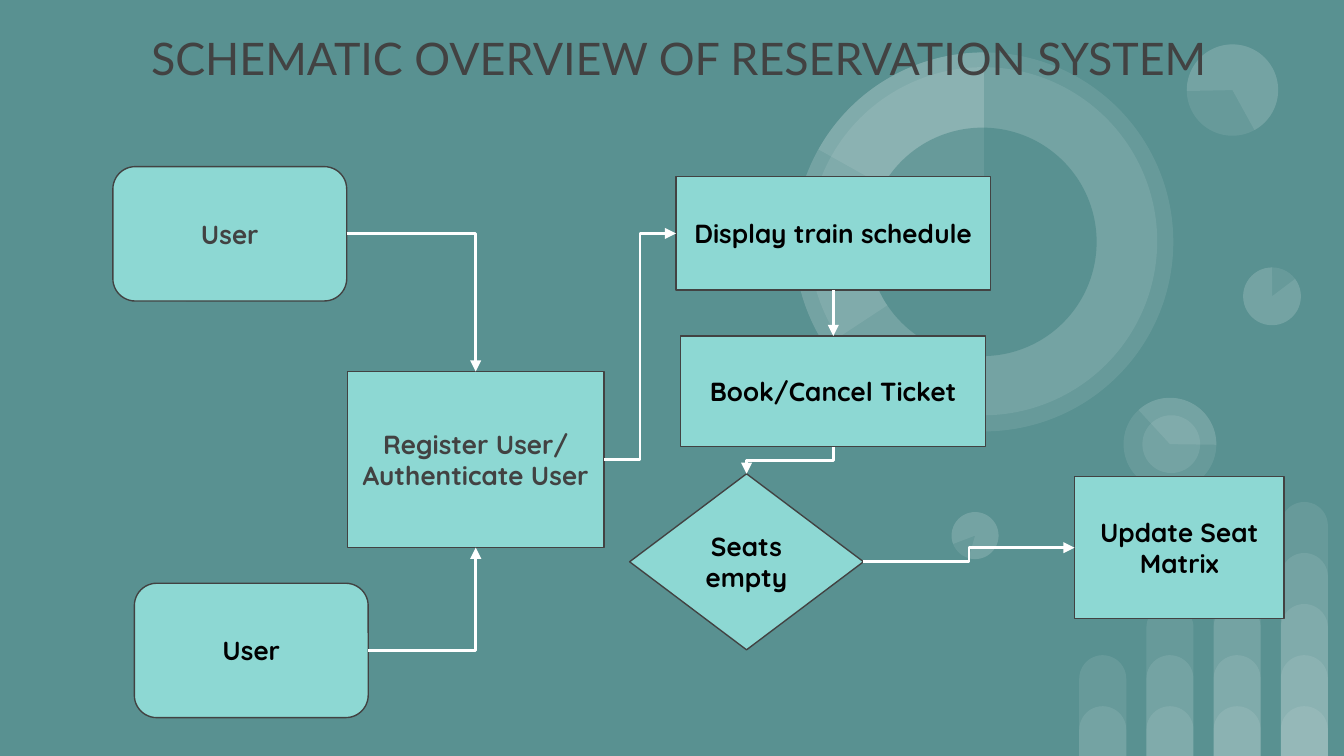
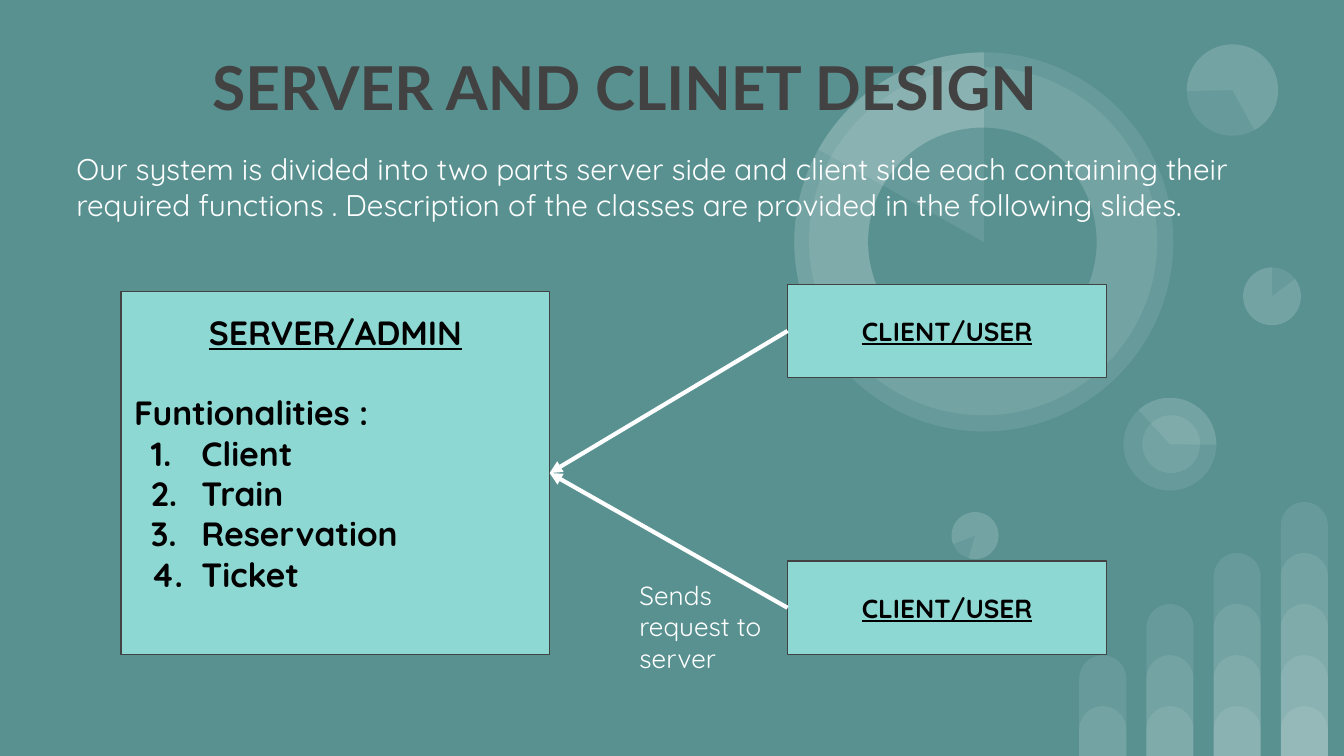
"""Two slides on a train reservation system: process flow and server/client design."""
from dataclasses import dataclass
from typing import Optional

from lxml import etree
from pptx import Presentation, util as u
from pptx.dml.color import RGBColor
from pptx.enum import shapes, text
from pptx.oxml import ns

COLOURS = {"ground": "599191", "box": "8DD8D3", "ink": "424242",
           "black": "000000", "white": "FFFFFF"}
TITLE_FONT, BODY_FONT = "Lato", "Quicksand"
SHAPE, LINK = shapes.MSO_SHAPE, shapes.MSO_CONNECTOR
CENTRE, LEFT = text.PP_ALIGN.CENTER, text.PP_ALIGN.LEFT
TOP, MIDDLE = text.MSO_ANCHOR.TOP, text.MSO_ANCHOR.MIDDLE

# Square grid cells: 100 columns by 56.25 rows
COLUMNS, ROWS = 100, 56.25
SLIDE_WIDTH = u.Inches(10)


@dataclass
class Area:
    """A rectangle in grid cells."""
    left: float
    top: float
    width: float
    height: float

    @property
    def right(self) -> float:
        return self.left + self.width

    @property
    def bottom(self) -> float:
        return self.top + self.height

    @property
    def centre(self) -> float:
        return self.left + self.width / 2

    @property
    def middle(self) -> float:
        return self.top + self.height / 2


@dataclass
class Step:
    """One labelled box of a diagram."""
    area: Area
    lines: list[str]
    colour: str = "black"
    kind: shapes.MSO_SHAPE = SHAPE.RECTANGLE


@dataclass
class Disc:
    """A background disc, or a pie slice when angles are given."""
    left: float
    top: float
    size: float
    angles: Optional[tuple[float, float]] = None
    turn: float = 0
    solid: bool = False


DISCS = [
    Disc(92.5, 19.9, 4.3), Disc(70.8, 38.1, 3.5),
    Disc(83.6, 29.6, 6.9), Disc(83.6, 29.6, 6.9, (82.45, 162.46), 90),
    Disc(85, 30.9, 4.3), Disc(92.5, 19.9, 4.3, (193.77, 162)),
    Disc(88.3, 3.3, 6.8), Disc(88.3, 3.3, 6.8, (193.77, 123.14), 215.9),
    Disc(59.1, 3.9, 28.2), Disc(60.2, 5, 25.9),
    Disc(59.1, 3.9, 28.2, (88.01, 162)), Disc(64.6, 9.5, 17, solid=True),
    Disc(59.1, 3.9, 28.2, (125.54, 162)),
    Disc(70.8, 38.1, 3.5, (193.77, 162), 196.2),
]


def cells(count: float) -> u.Emu:
    """Length of a number of grid cells."""
    return u.Emu(round(SLIDE_WIDTH * count / COLUMNS))


def rgb(name: str) -> RGBColor:
    """Colour by its palette name."""
    return RGBColor.from_string(COLOURS[name])


def place(area: Area) -> list[u.Emu]:
    """Left, top, width and height of an area as lengths."""
    return [cells(n) for n in (area.left, area.top, area.width, area.height)]


def add_figure(parent, kind, area: Area, fill: str, line: Optional[str] = None,
               opacity: Optional[int] = None):
    """Add a flat preset shape, with an outline only if a line colour is given."""
    figure = parent.add_shape(kind, *place(area))
    figure.shadow.inherit = False
    figure.fill.solid()
    figure.fill.fore_color.rgb = rgb(fill)
    if opacity is not None:
        colour = figure._element.spPr.find(".//" + ns.qn("a:srgbClr"))
        etree.SubElement(colour, ns.qn("a:alpha"), val=str(opacity * 1000))
    if line:
        figure.line.color.rgb = rgb(line)
        figure.line.width = u.Pt(0.75)
    else:
        figure.line.fill.background()
    return figure


def write(frame, lines: list[str], *, size: float = 14, font: str = BODY_FONT,
          colour: str = "black", bold: bool = False, underline: bool = False,
          align=LEFT, anchor=TOP, top_inset: float = 1):
    """Fill a text frame with one paragraph per line and return the paragraphs."""
    frame.word_wrap = True
    frame.vertical_anchor = anchor
    frame.margin_left = frame.margin_right = frame.margin_bottom = cells(1)
    frame.margin_top = cells(top_inset)
    for index, line in enumerate(lines):
        paragraph = frame.add_paragraph() if index else frame.paragraphs[0]
        paragraph.alignment = align
        run = paragraph.add_run()
        run.text = line
        run.font.size, run.font.name = u.Pt(size), font
        run.font.bold, run.font.underline = bold, underline
        run.font.color.rgb = rgb(colour)
    return frame.paragraphs


def add_label(slide, area: Area, line: str, **style) -> None:
    """Add a text box holding one paragraph."""
    write(slide.shapes.add_textbox(*place(area)).text_frame, [line], **style)


def add_step(slide, step: Step, **style) -> None:
    """Add a diagram box with centred bold text."""
    box = add_figure(slide.shapes, step.kind, step.area, "box", "ink")
    write(box.text_frame, step.lines, colour=step.colour, bold=True,
          align=CENTRE, anchor=MIDDLE, **style)


def add_arrow(slide, start: tuple[float, float], end: tuple[float, float],
              kind=LINK.STRAIGHT, width: float = 1.5, single_bend: bool = False,
              downward: bool = False) -> None:
    """Add a white arrow; a downward elbow leaves its start vertically."""
    if downward:
        x, y = (start[0] + end[0]) / 2, (start[1] + end[1]) / 2
        across, down = (end[0] - start[0]) / 2, (end[1] - start[1]) / 2
        start, end = (x - down, y + across), (x + down, y - across)
    arrow = slide.shapes.add_connector(kind, *map(cells, start + end))
    arrow.line.color.rgb = rgb("white")
    arrow.line.width = u.Pt(width)
    props = arrow._element.spPr
    if downward:
        props.find(ns.qn("a:xfrm")).set("rot", str(90 * 60000))
    if single_bend:
        props.find(ns.qn("a:prstGeom")).set("prst", "bentConnector2")
    etree.SubElement(props.find(ns.qn("a:ln")), ns.qn("a:tailEnd"), type="triangle")
    etree.SubElement(props, ns.qn("a:effectLst"))


def number(paragraph) -> None:
    """Turn a paragraph into an item of a numbered list."""
    props = paragraph._p.get_or_add_pPr()
    props.set("marL", str(cells(5)))
    props.set("indent", str(-cells(3.75)))
    etree.SubElement(props, ns.qn("a:buAutoNum"), type="arabicPeriod")


def add_background(slide) -> None:
    """Paint the ground, the translucent bars and the translucent discs."""
    slide.background.fill.solid()
    slide.background.fill.fore_color.rgb = rgb("ground")
    bars = slide.shapes.add_group_shape().shapes
    for column in range(4):
        for level in range(column + 2):
            height = 3.7 + 3.8 * level
            area = Area(80.3 + 5 * column, ROWS - height, 3.5, height)
            bar = add_figure(bars, SHAPE.ROUND_2_SAME_RECTANGLE, area, "white", opacity=9)
            bar.adjustments[0] = 0.5
    charts = slide.shapes.add_group_shape().shapes
    for disc in DISCS:
        area = Area(disc.left, disc.top, disc.size, disc.size)
        figure = add_figure(charts, SHAPE.PIE if disc.angles else SHAPE.OVAL, area,
                            "ground" if disc.solid else "white",
                            opacity=None if disc.solid else 9)
        figure.rotation = disc.turn
        for index, angle in enumerate(disc.angles or ()):
            figure.adjustments[index] = angle


def new_slide(deck):
    """Add a blank slide with the shared background."""
    slide = deck.slides.add_slide(deck.slide_layouts[6])
    add_background(slide)
    return slide


def build_flow(deck) -> None:
    """Schematic overview of the reservation process."""
    slide = new_slide(deck)
    lower_user = Area(10, 43.4, 17.4, 10)
    upper_user = Area(8.4, 12.4, 17.4, 10)
    register = Area(25.85, 27.65, 19.1, 13.1)
    schedule = Area(50.3, 13.15, 23.4, 8.45)
    ticket = Area(50.65, 25, 22.7, 8.25)
    seats = Area(46.85, 35.25, 17.4, 13.1)
    matrix = Area(79.95, 35.45, 15.6, 10.6)
    for step in (
        Step(lower_user, ["User"], kind=SHAPE.ROUNDED_RECTANGLE),
        Step(upper_user, ["User"], "ink", SHAPE.ROUNDED_RECTANGLE),
        Step(register, ["Register User/", "Authenticate User"], "ink"),
        Step(schedule, ["Display train schedule"]),
        Step(ticket, ["Book/Cancel Ticket"]),
        Step(seats, ["Seats empty"], kind=SHAPE.DIAMOND),
        Step(matrix, ["Update Seat Matrix"]),
    ):
        add_step(slide, step)

    for user, edge in ((upper_user, register.top), (lower_user, register.bottom)):
        add_arrow(slide, (user.right, user.middle), (register.centre, edge),
                  LINK.ELBOW, single_bend=True)
    for source, target in ((register, schedule), (seats, matrix)):
        add_arrow(slide, (source.right, source.middle), (target.left, target.middle),
                  LINK.ELBOW)
    add_arrow(slide, (schedule.centre, schedule.bottom), (ticket.centre, ticket.top))
    add_arrow(slide, (ticket.centre, ticket.bottom), (seats.centre, seats.top),
              LINK.ELBOW, downward=True)
    add_label(slide, Area(1, 1.3, 99, 7.6), "SCHEMATIC OVERVIEW OF RESERVATION SYSTEM",
              size=24, font=TITLE_FONT, colour="ink", align=CENTRE)


def build_design(deck) -> None:
    """Server and client design."""
    slide = new_slide(deck)
    add_label(slide, Area(14.8, 2.6, 68.9, 7.6), "SERVER AND CLINET DESIGN", size=32.4,
              font=TITLE_FONT, colour="ink", bold=True, anchor=MIDDLE)
    add_label(slide, Area(4.7, 10.2, 89.6, 7.6),
              "Our system is divided into two parts server side and client side each "
              "containing their required functions . Description of the classes are "
              "provided in the following slides.", size=16, colour="white")

    server = Area(9, 21.7, 31.9, 27)
    panel = add_figure(slide.shapes, SHAPE.RECTANGLE, server, "box", "ink")
    heading, caption, *functions = write(
        panel.text_frame,
        ["SERVER/ADMIN", "Funtionalities :", "Client", "Train", "Reservation", "Ticket"],
        size=18, bold=True, top_inset=1.5)
    heading.alignment = CENTRE
    heading.runs[0].font.underline = True
    caption.space_before = u.Pt(21.6)
    for function in functions:
        number(function)

    clients = [Area(58.6, top, 23.75, 6.95) for top in (21.15, 41.75)]
    for client in clients:
        add_step(slide, Step(client, ["CLIENT/USER"]), underline=True)
    for client in clients:
        add_arrow(slide, (client.left, client.middle), (server.right, server.middle),
                  width=2.25)
    add_label(slide, Area(46.6, 42.1, 12, 7.6), "Sends request to server", colour="white")


def main() -> None:
    """Build and save the deck."""
    deck = Presentation()
    deck.slide_width, deck.slide_height = SLIDE_WIDTH, cells(ROWS)
    build_flow(deck)
    build_design(deck)
    deck.save("out.pptx")


main()
